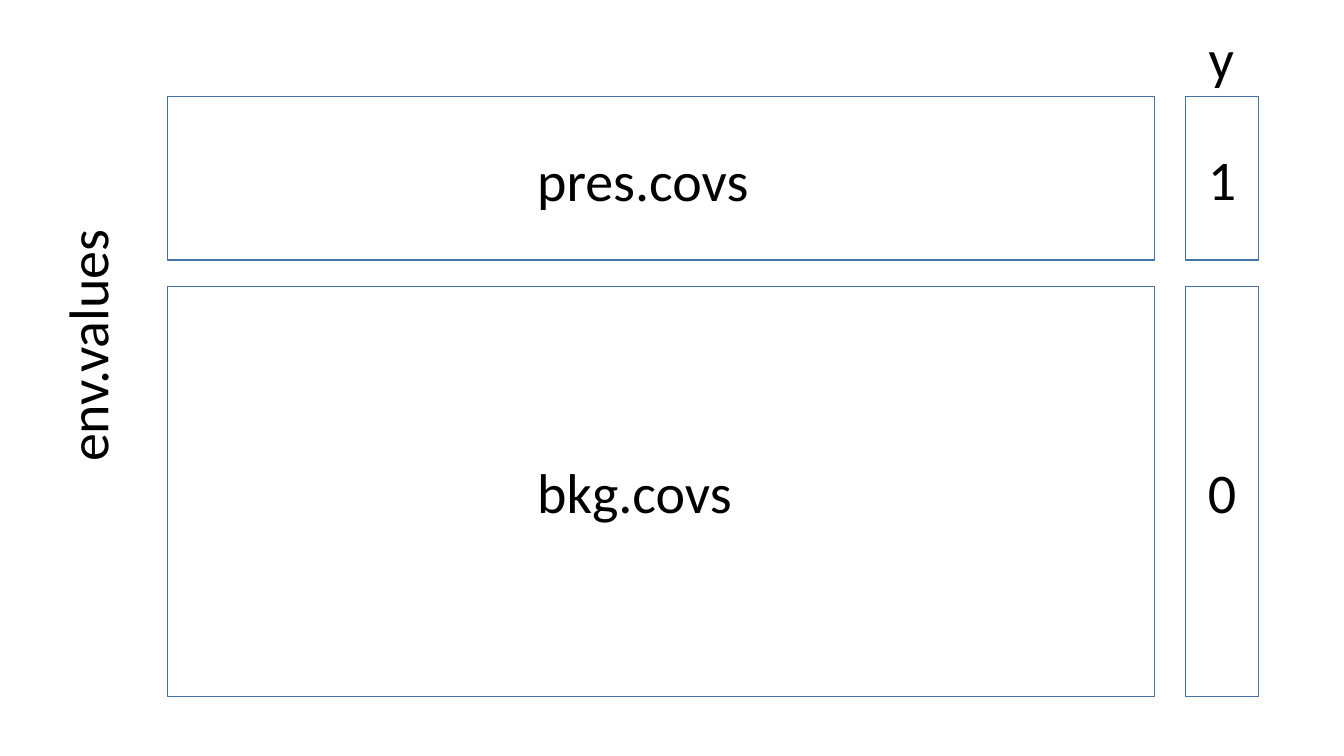
from pptx import Presentation
from pptx.dml.color import RGBColor
from pptx.enum.shapes import MSO_SHAPE
from pptx.enum.text import MSO_ANCHOR, MSO_AUTO_SIZE, PP_ALIGN
from pptx.util import Emu, Pt

RECT = MSO_SHAPE.RECTANGLE
MIDDLE = MSO_ANCHOR.MIDDLE
CENTER = PP_ALIGN.CENTER
GROW = MSO_AUTO_SIZE.SHAPE_TO_FIT_TEXT
SCALE = 9144
COLORS = {"edge": "43739E", "ink": "000000"}


class Board:
    font = "Calibri"
    size = 40

    def __init__(self, slide):
        self.shapes = slide.shapes

    def color(self, name):
        return RGBColor.from_string(COLORS[name])

    def place(self, *box):
        return [Emu(n * SCALE) for n in box]

    def add_text(self, para, text):
        run = para.add_run()
        run.text = text
        run.font.name = self.font
        run.font.size = Pt(self.size)
        run.font.color.rgb = self.color("ink")

    def block(self, left, top, width, height, text=""):
        shape = self.shapes.add_shape(RECT, *self.place(left, top, width, height))
        shape.shadow.inherit = False
        shape.fill.background()
        shape.line.color.rgb = self.color("edge")
        shape.line.width = Pt(1)
        if text:
            frame = shape.text_frame
            frame.vertical_anchor = MIDDLE
            para = frame.paragraphs[0]
            para.alignment = CENTER
            self.add_text(para, text)

    def label(self, left, top, width, text, turn=0):
        shape = self.shapes.add_textbox(*self.place(left, top, width, 77))
        shape.rotation = turn
        frame = shape.text_frame
        frame.word_wrap = False
        frame.auto_size = GROW
        self.add_text(frame.paragraphs[0], text)


def main():
    deck = Presentation()
    deck.slide_width = Emu(1333 * SCALE)
    deck.slide_height = Emu(750 * SCALE)
    board = Board(deck.slides.add_slide(deck.slide_layouts[6]))

    rows = [
        (96, 162, "pres.covs", 139, 232, "1"),
        (284, 407, "bkg.covs", 449, 215, "0"),
    ]
    for top, height, name, line, width, value in rows:
        board.block(166, top, 979, height)
        board.label(523, line, width, name)
        board.block(1176, top, 72, height, value)

    board.label(-41, 303, 253, "env.values", 270)
    board.label(1189, 18, 46, "y")
    deck.save("out.pptx")


if __name__ == "__main__":
    main()
